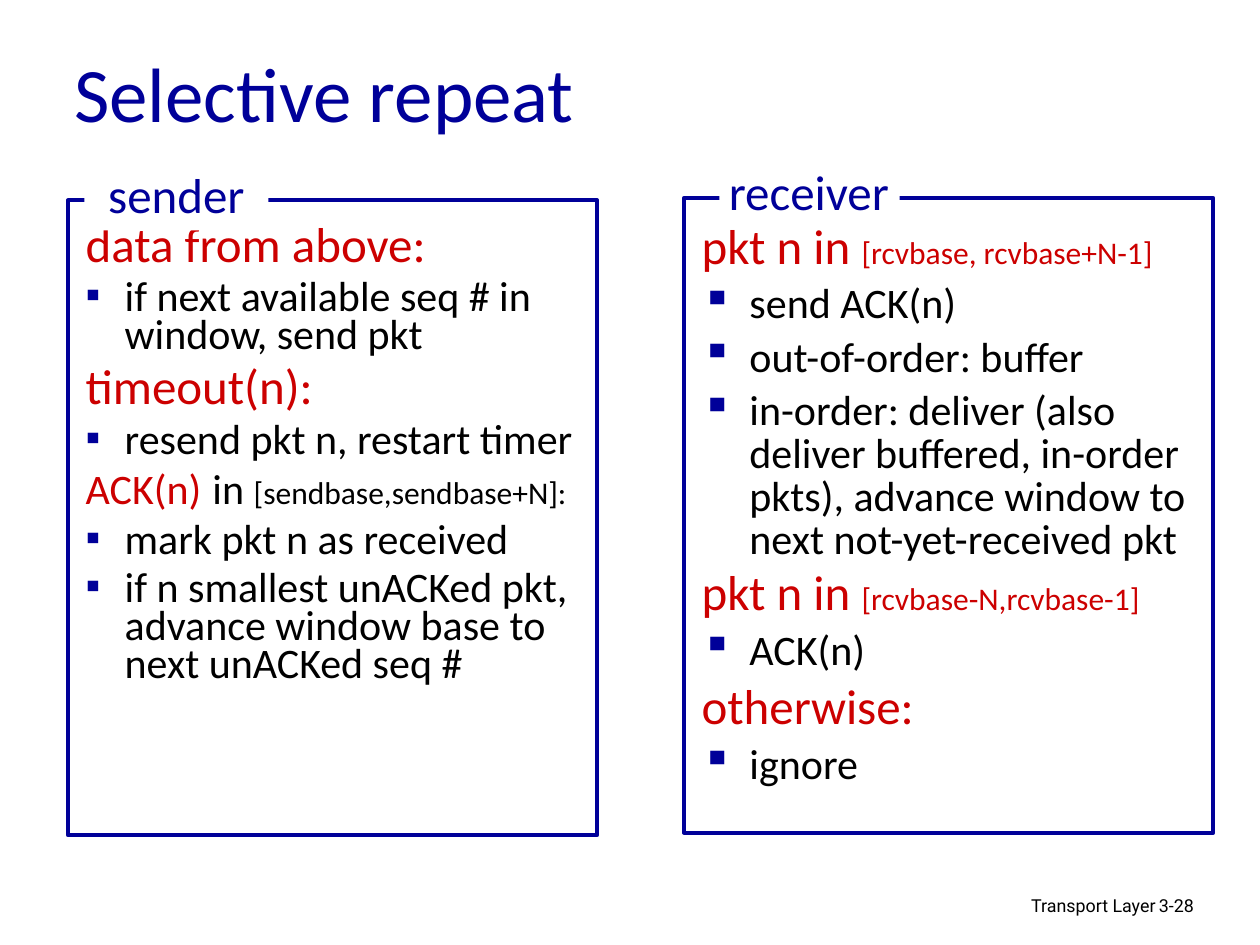
import pptx
import pptx.dml.color
import pptx.enum.shapes
import pptx.enum.text
import pptx.util
from lxml import etree
from pptx.oxml.ns import qn

Inches = pptx.util.Inches
Pt = pptx.util.Pt
Align = pptx.enum.text.PP_ALIGN
Anchor = pptx.enum.text.MSO_ANCHOR
RECT = pptx.enum.shapes.MSO_SHAPE.RECTANGLE

NAVY, RED, BLACK, WHITE = "000099", "CC0000", "000000", "FFFFFF"
FACE = "Calibri"


def color(code):
    return pptx.dml.color.RGBColor.from_string(code)


def style(font, size, code, face=FACE):
    font.name, font.size = face, Pt(size)
    font.color.rgb = color(code)


def mark(para, indent, bullet):
    """Set the hanging indent and the square bullet, or no bullet."""
    props = para._p.get_or_add_pPr()
    props.set("marL", str(Inches(indent)))
    props.set("indent", str(-Inches(indent)))
    if bullet:
        tint = etree.SubElement(props, qn("a:buClr"))
        etree.SubElement(tint, qn("a:srgbClr"), val=NAVY)
        etree.SubElement(props, qn("a:buChar"), char="▪")
    else:
        etree.SubElement(props, qn("a:buNone"))


class Page:
    def __init__(self, slide):
        self.slide = slide

    def place(self, shape, box):
        shape.left, shape.top, shape.width, shape.height = map(Inches, box)
        return shape

    def title(self, text):
        frame = self.place(self.slide.shapes.title, (0.49, 0.27, 8.5, 0.92)).text_frame
        frame.text = text
        frame.vertical_anchor = Anchor.MIDDLE
        para = frame.paragraphs[0]
        para.alignment = Align.LEFT
        style(para.font, 44, NAVY)

    def label(self, text, box, size, code, align, face=FACE, wrap=True):
        shape = self.slide.shapes.add_textbox(*map(Inches, box))
        frame = shape.text_frame
        frame.text = text
        frame.word_wrap = wrap
        para = frame.paragraphs[0]
        para.alignment = align
        style(para.font, size, code, face)

    def steps(self, shape, items, indent, spacing):
        """Fill a box: a plain string is a bullet, a (space, runs) pair a heading."""
        frame = shape.text_frame
        frame.word_wrap = True
        frame.auto_size = pptx.enum.text.MSO_AUTO_SIZE.NONE
        frame.vertical_anchor = Anchor.TOP
        for i, item in enumerate(items):
            para = frame.add_paragraph() if i else frame.paragraphs[0]
            bullet = isinstance(item, str)
            space, runs = (6, [(item, 24, BLACK)]) if bullet else item
            mark(para, indent, bullet)
            para.line_spacing = spacing
            para.space_before = Pt(space if i else 0)
            style(para.font, *runs[0][1:])
            for text, size, code in runs:
                run = para.add_run()
                run.text = text
                if len(runs) > 1:
                    style(run.font, size, code)

    def rect(self, box, fill=None, line=None):
        shape = self.slide.shapes.add_shape(RECT, *map(Inches, box))
        shape.shadow.inherit = False
        if fill:
            shape.fill.solid()
            shape.fill.fore_color.rgb = color(fill)
        else:
            shape.fill.background()
        if line:
            shape.line.color.rgb = color(line)
            shape.line.width = Pt(2.25)
        else:
            shape.line.fill.background()

    def panel(self, name, frame, gap, tag):
        """Draw a frame whose top edge is broken by its name."""
        self.rect(frame, line=NAVY)
        self.rect(gap, fill=WHITE)
        self.label(name, tag, 28, NAVY, Align.CENTER, wrap=False)


SENDER = [
    (0, [("data from above:", 28, RED)]),
    "if next available seq # in window, send pkt",
    (7, [("timeout(n):", 28, RED)]),
    "resend pkt n, restart timer",
    (4.5, [("ACK(n)", 24, RED), (" ", 28, RED), ("in ", 24, BLACK),
           ("[sendbase,sendbase+N]:", 18, BLACK)]),
    "mark pkt n as received",
    "if n smallest unACKed pkt, advance window base to next unACKed seq #",
]
RECEIVER = [
    (0, [("pkt n in ", 28, RED), ("[rcvbase, rcvbase+N-1]", 18, RED)]),
    "send ACK(n)",
    "out-of-order: buffer",
    "in-order: deliver (also deliver buffered, in-order pkts), "
    "advance window to next not-yet-received pkt",
    (4.5, [("pkt n in ", 28, RED), ("[rcvbase-N,rcvbase-1]", 18, RED)]),
    "ACK(n)",
    (6, [("otherwise:", 28, RED)]),
    "ignore",
]


def main():
    deck = pptx.Presentation()
    deck.slide_width, deck.slide_height = Inches(10), Inches(7.5)
    slide = deck.slides.add_slide(deck.slide_layouts[1])
    page = Page(slide)

    page.title("Selective repeat")
    body = page.place(slide.placeholders[1], (0.58, 1.75, 4.17, 5.08))
    page.steps(body, SENDER, 0.31, 0.75)
    tag = (0.67, 1.26, 1.46, 0.57)
    page.panel("sender", (0.54, 1.59, 4.2, 5.04), tag, tag)

    notes = slide.shapes.add_textbox(*map(Inches, (5.47, 1.73, 4.17, 5.08)))
    page.steps(notes, RECEIVER, 0.38, 0.85)
    page.panel("receiver", (5.43, 1.57, 4.2, 5.04),
               (5.71, 1.42, 1.43, 0.31), (5.59, 1.23, 1.66, 0.57))

    page.label("Transport Layer", (6.1, 7.05, 3.17, 0.31), 10.2, BLACK,
               Align.RIGHT, "Roboto")
    page.label("3-28", (9.1, 7.05, 0.74, 0.31), 10.2, BLACK, Align.LEFT, "Roboto")
    deck.save("out.pptx")


if __name__ == "__main__":
    main()
